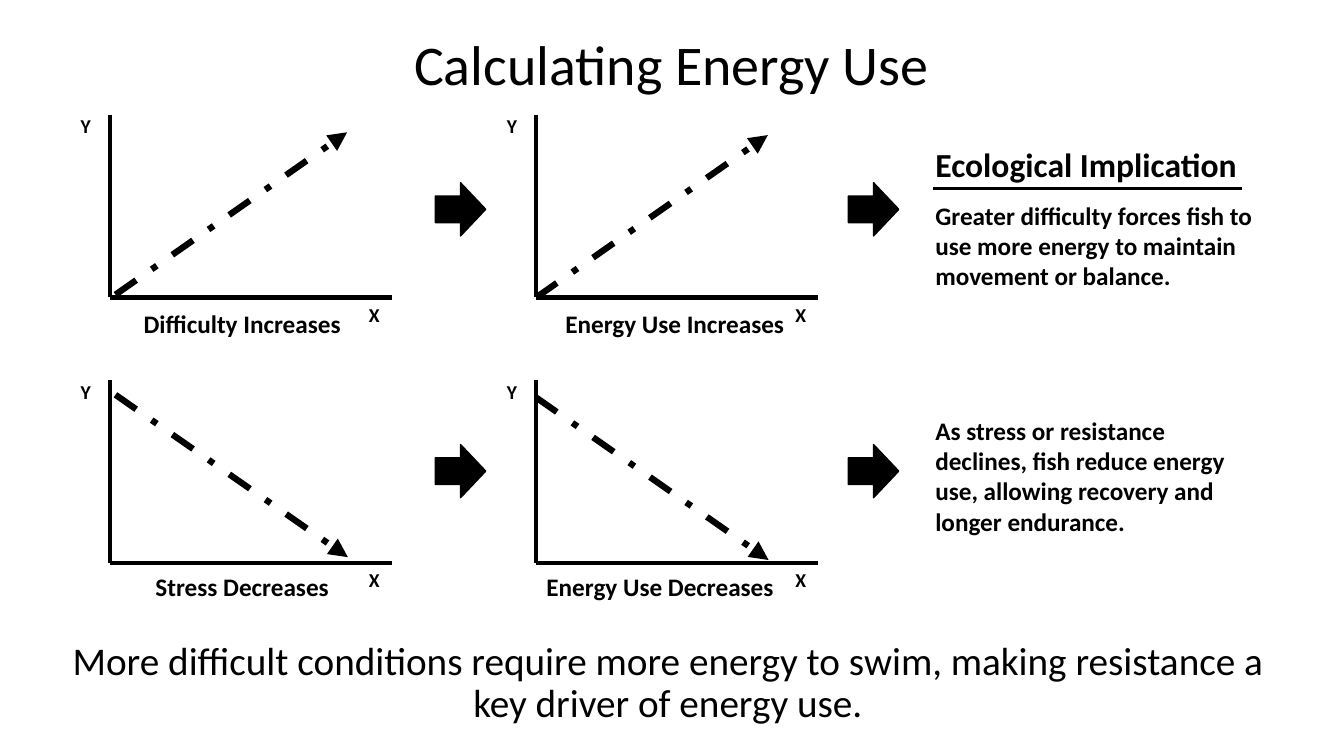
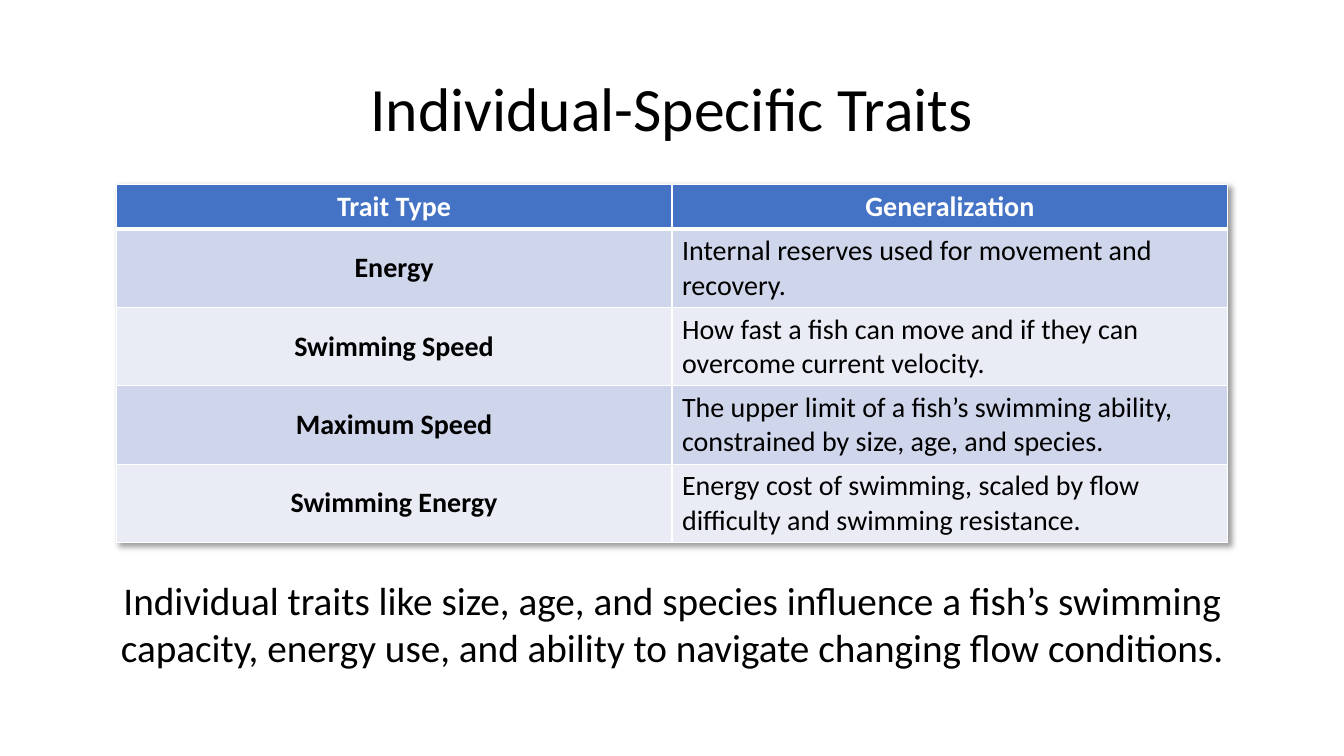
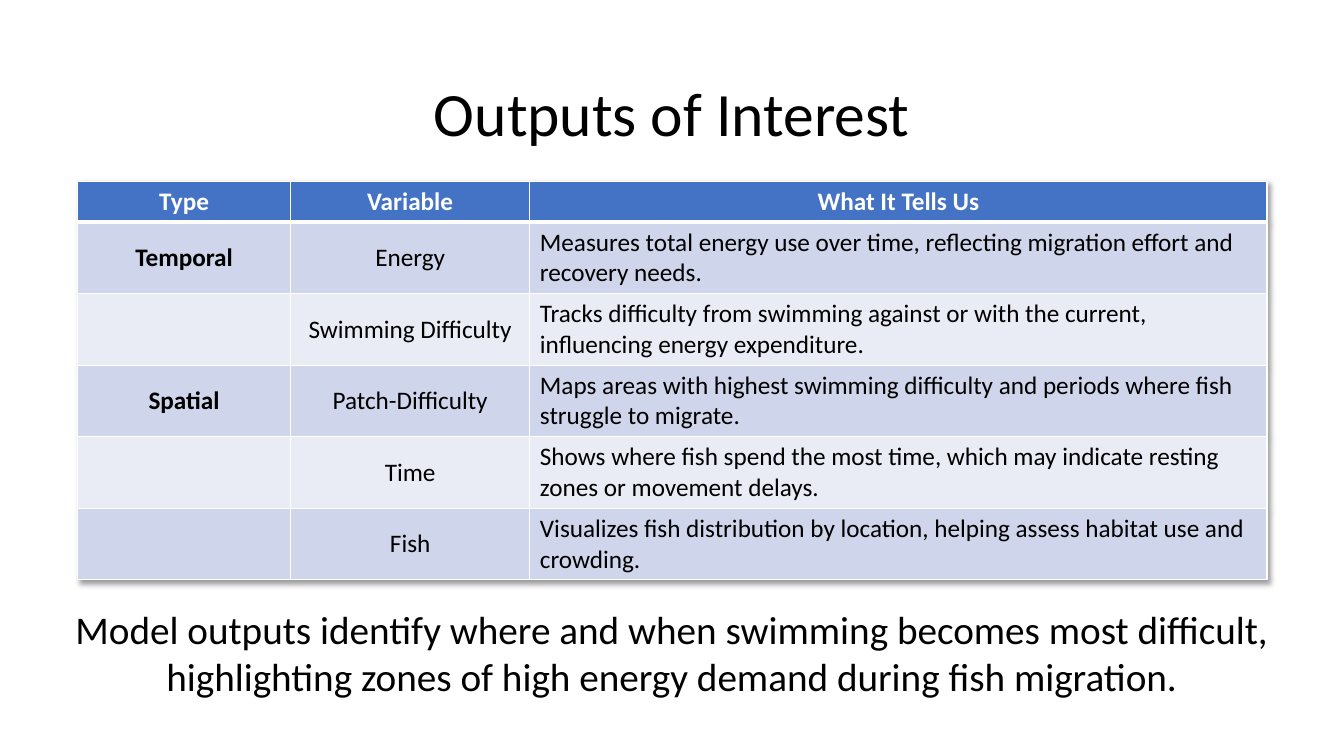
from lxml import etree
from pptx import Presentation
from pptx import util as u
from pptx.dml.color import RGBColor
from pptx.enum import dml, shapes, text
from pptx.oxml import ns

# Style
BLACK = RGBColor(0x00, 0x00, 0x00)
WHITE = RGBColor(0xFF, 0xFF, 0xFF)
HEADER_BLUE = RGBColor(0x44, 0x72, 0xC4)
BANDS = (RGBColor(0xCF, 0xD5, 0xEA), RGBColor(0xE9, 0xEB, 0xF5))
FONT = "Calibri"
LEFT, CENTER = text.PP_ALIGN.LEFT, text.PP_ALIGN.CENTER
MIDDLE = text.MSO_ANCHOR.MIDDLE

# Grid: 96 columns by 54 rows, each cell 10 points square
COLUMNS, ROWS, CELL = 96, 54, 10


def grid(*lengths):
    return [u.Pt(length * CELL) for length in lengths]


def add_xml(parent, tag, **attributes):
    child = etree.SubElement(parent, ns.qn(tag))
    for key, value in attributes.items():
        child.set(key, str(value))
    return child


def write(frame, words, size=18, bold=False, color=BLACK, align=LEFT, spacing=None):
    paragraph = frame.paragraphs[0]
    paragraph.alignment = align
    if spacing:
        paragraph.line_spacing = spacing
    run = paragraph.add_run()
    run.text = words
    run.font.name = FONT
    run.font.size = u.Pt(size)
    run.font.bold = bold
    run.font.color.rgb = color


def set_borders(cell, **widths):
    """Draw white borders, which must come before the fill."""
    properties = cell._tc.get_or_add_tcPr()
    for index, side in enumerate("LRTB"):
        border = etree.Element(ns.qn("a:ln" + side), w=str(u.Pt(widths.get(side, 1))))
        add_xml(add_xml(border, "a:solidFill"), "a:srgbClr", val=WHITE)
        properties.insert(index, border)


class Deck:
    def __init__(self):
        self.file = Presentation()
        self.file.slide_width, self.file.slide_height = grid(COLUMNS, ROWS)
        self.slide = None

    def new_slide(self):
        self.slide = self.file.slides.add_slide(self.file.slide_layouts[6])

    def label(self, box, words, anchor=text.MSO_ANCHOR.TOP, **style):
        frame = self.slide.shapes.add_textbox(*grid(*box)).text_frame
        frame.word_wrap = True
        frame.vertical_anchor = anchor
        write(frame, words, **style)

    def title(self, box, words, size=44):
        self.label(box, words, MIDDLE, size=size, align=CENTER, spacing=0.9)

    def line(self, start, end, width, trend=False):
        line = self.slide.shapes.add_connector(
            shapes.MSO_CONNECTOR.STRAIGHT, *grid(*start, *end))
        line.line.width = u.Pt(width)
        line.line.color.rgb = BLACK
        outline = line.element.spPr
        if trend:
            line.line.dash_style = dml.MSO_LINE.DASH_DOT
            add_xml(outline.find(ns.qn("a:ln")), "a:tailEnd", type="triangle")
        add_xml(outline, "a:effectLst")

    def block_arrow(self, x, y):
        arrow = self.slide.shapes.add_shape(
            shapes.MSO_SHAPE.RIGHT_ARROW, *grid(x, y, 3.6, 3.8))
        arrow.shadow.inherit = False
        arrow.fill.solid()
        arrow.fill.fore_color.rgb = BLACK
        arrow.line.color.rgb = BLACK
        arrow.line.width = u.Pt(1)

    def plot(self, x, y, trend, shift):
        """Axes that meet at x, y and a dashed trend measured from there."""
        self.line((x, y), (x, y - 13.05), 3)
        self.line((x, y), (x + 20.15, y), 3)
        self.label((x + 17.8, y, 4.7, 3.2), "X", size=14, bold=True)
        self.label((x - 2.8, y - 13.45, 4.6, 3.2), "Y", size=14, bold=True)
        start, end = [(x + shift[0] + dx, y + shift[1] + dy) for dx, dy in trend]
        self.line(start, end, 4.5, trend=True)

    def table(self, x, y, widths, rows, size, bold_columns, centred_columns):
        def row_height(lines):
            return (lines * 1.22 * size + 7.2) / CELL

        heights = [row_height(1)] + [row_height(2)] * (len(rows) - 1)
        frame = self.slide.shapes.add_table(
            len(rows), len(widths), *grid(x, y, sum(widths), sum(heights)))
        table = frame.table
        for column, width in zip(table.columns, grid(*widths)):
            column.width = width
        for row, height in zip(table.rows, grid(*heights)):
            row.height = height

        for r, row in enumerate(rows):
            header = r == 0
            for c, words in enumerate(row):
                cell = table.cell(r, c)
                cell.vertical_anchor = MIDDLE
                cell.fill.solid()
                cell.fill.fore_color.rgb = HEADER_BLUE if header else BANDS[(r - 1) % 2]
                set_borders(cell, T=3 if r == 1 else 1, B=3 if header else 1)
                if words:
                    write(cell.text_frame, words, size=size,
                          bold=header or c < bold_columns,
                          color=WHITE if header else BLACK,
                          align=CENTER if header or c < centred_columns else LEFT)

        # Soft shadow to the lower right
        effects = etree.Element(ns.qn("a:effectLst"))
        shadow = add_xml(effects, "a:outerShdw", blurRad=50800, dist=38100,
                         dir=2700000, algn="tl", rotWithShape=0)
        add_xml(add_xml(shadow, "a:srgbClr", val=BLACK), "a:alpha", val=40000)
        next(frame.element.iter(ns.qn("a:tblPr"))).insert(0, effects)


def energy_use(deck):
    deck.new_slide()
    deck.title((3.45, -0.45, 89, 10.45), "Calculating Energy Use", size=40)

    # Cause, effect and implication, one row for each direction
    plot_columns = ((7.85, (0.4, -0.2)), (38.3, (0, 0)))
    rising = ((0, 0), (16.55, -11.6))
    falling = ((0, -11.8), (16.6, -0.2))
    cases = (
        (21.25, rising, 13.05, 21.7,
         (("Difficulty Increases", 17.3), ("Energy Use Increases", 48.2)),
         13.95, 7.25,
         "Greater difficulty forces fish to use more energy to maintain movement or balance."),
        (40.2, falling, 31.75, 40.45,
         (("Stress Decreases", 17.3), ("Energy Use Decreases", 47.15)),
         29.3, 9.45,
         "As stress or resistance declines, fish reduce energy use, "
         "allowing recovery and longer endurance."),
    )
    for base, trend, arrow_y, caption_y, captions, note_y, note_height, note in cases:
        for x, shift in plot_columns:
            deck.plot(x, base, trend, shift)
        for x in (31.1, 60.6):
            deck.block_arrow(x, arrow_y)
        for caption, middle in captions:
            deck.label((middle - 15.6, caption_y, 31.2, 2.9), caption,
                       bold=True, align=CENTER)
        deck.label((66.1, note_y, 24.25, note_height), note, bold=True)

    # Implication heading with its rule
    deck.label((66.1, 9.95, 24, 3.6), "Ecological Implication", size=24, bold=True)
    deck.line((66.65, 13.45), (88.7, 13.45), 2.25)

    deck.title((3.45, 43.65, 88.5, 10.35),
               "More difficult conditions require more energy to swim, "
               "making resistance a key driver of energy use.", size=28)


def traits(deck):
    deck.new_slide()
    deck.title((6.6, 2.75, 82.8, 10.45), "Individual-Specific Traits")
    rows = (
        ("Trait Type", "Generalization"),
        ("Energy", "Internal reserves used for movement and recovery."),
        ("Swimming Speed",
         "How fast a fish can move and if they can overcome current velocity."),
        ("Maximum Speed",
         "The upper limit of a fish’s swimming ability, constrained by size, age, and species."),
        ("Swimming Energy",
         "Energy cost of swimming, scaled by flow difficulty and swimming resistance."),
    )
    deck.table(8.3, 13.2, (39.7, 39.7), rows, size=20, bold_columns=1, centred_columns=1)
    deck.label((3.25, 40.8, 89.5, 7.5),
               "Individual traits like size, age, and species influence a fish’s swimming "
               "capacity, energy use, and ability to navigate changing flow conditions.",
               size=28, align=CENTER)


def outputs(deck):
    deck.new_slide()
    deck.title((6.6, 3.1, 82.8, 10.45), "Outputs of Interest")
    rows = (
        ("Type", "Variable", "What It Tells Us"),
        ("Temporal", "Energy",
         "Measures total energy use over time, reflecting migration effort and recovery needs."),
        ("", "Swimming Difficulty",
         "Tracks difficulty from swimming against or with the current, "
         "influencing energy expenditure."),
        ("Spatial", "Patch-Difficulty",
         "Maps areas with highest swimming difficulty and periods where fish "
         "struggle to migrate."),
        ("", "Time",
         "Shows where fish spend the most time, which may indicate resting zones "
         "or movement delays."),
        ("", "Fish",
         "Visualizes fish distribution by location, helping assess habitat use and crowding."),
    )
    deck.table(5.55, 12.95, (15.2, 17.1, 52.65), rows, size=18,
               bold_columns=1, centred_columns=2)
    deck.label((3.95, 42.85, 88.05, 7.5),
               "Model outputs identify where and when swimming becomes most difficult, "
               "highlighting zones of high energy demand during fish migration.",
               size=28, align=CENTER)


def main():
    deck = Deck()
    energy_use(deck)
    traits(deck)
    outputs(deck)
    deck.file.save("out.pptx")


if __name__ == "__main__":
    main()
